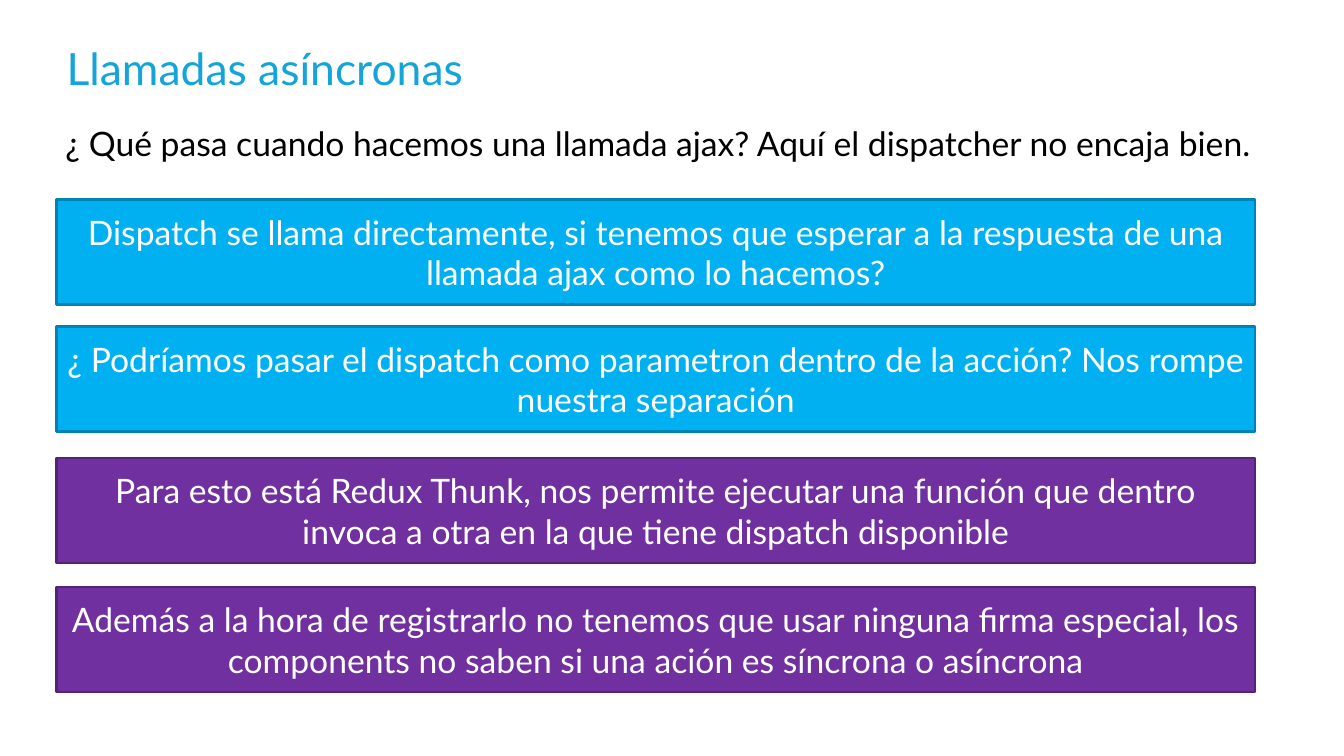
from pptx import Presentation
from pptx.dml.color import RGBColor
from pptx.enum import shapes, text
from pptx.util import Cm, Pt

FONT = "Lato"
TITLE_BLUE = RGBColor(0x13, 0xA4, 0xD9)
BLACK = RGBColor(0x00, 0x00, 0x00)
WHITE = RGBColor(0xFF, 0xFF, 0xFF)
CYAN = RGBColor(0x00, 0xB0, 0xF0)
CYAN_EDGE = RGBColor(0x00, 0x82, 0xB2)
PURPLE = RGBColor(0x70, 0x30, 0xA0)
PURPLE_EDGE = RGBColor(0x53, 0x24, 0x76)

LEFT = 1.57
BAND_WIDTH, BAND_HEIGHT = 33.3, 2.92

# Top edge in cm, fill, edge and wording of each band
BANDS = [
    (5.54, CYAN, CYAN_EDGE,
     "Dispatch se llama directamente, si tenemos que esperar a la respuesta "
     "de una llamada ajax como lo hacemos?"),
    (9.07, CYAN, CYAN_EDGE,
     "¿ Podríamos pasar el dispatch como parametron dentro de la acción? "
     "Nos rompe nuestra separación"),
    (12.73, PURPLE, PURPLE_EDGE,
     "Para esto está Redux Thunk, nos permite ejecutar una función que dentro "
     "invoca a otra en la que tiene dispatch disponible"),
    (16.31, PURPLE, PURPLE_EDGE,
     "Además a la hora de registrarlo no tenemos que usar ninguna firma "
     "especial, los components no saben si una ación es síncrona o asíncrona"),
]


def write(frame, wording, size=26.5, color=BLACK, align=text.PP_ALIGN.LEFT,
          anchor=text.MSO_ANCHOR.TOP, side_inset=0.25):
    frame.word_wrap = True
    frame.vertical_anchor = anchor
    frame.margin_left = frame.margin_right = Cm(side_inset)
    paragraph = frame.paragraphs[0]
    paragraph.alignment = align
    run = paragraph.add_run()
    run.text = wording
    run.font.name = FONT
    run.font.size = Pt(size)
    run.font.color.rgb = color


def add_line_of_text(slide, box, wording, **text_format):
    holder = slide.shapes.add_textbox(*map(Cm, box))
    write(holder.text_frame, wording, **text_format)


def add_band(slide, box, fill, edge, wording):
    band = slide.shapes.add_shape(shapes.MSO_SHAPE.RECTANGLE, *map(Cm, box))
    band.shadow.inherit = False
    band.fill.solid()
    band.fill.fore_color.rgb = fill
    band.line.color.rgb = edge
    band.line.width = Pt(2)
    write(band.text_frame, wording, color=WHITE,
          align=text.PP_ALIGN.CENTER, anchor=text.MSO_ANCHOR.MIDDLE)


def main():
    deck = Presentation()
    deck.slide_width, deck.slide_height = Cm(37.34), Cm(21.01)
    slide = deck.slides.add_slide(deck.slide_layouts[6])

    # Title and opening question
    add_line_of_text(slide, (LEFT, 0.84, 33.93, 2.06), "Llamadas asíncronas",
                     size=35, color=TITLE_BLUE, side_inset=0.28,
                     anchor=text.MSO_ANCHOR.MIDDLE)
    add_line_of_text(slide, (LEFT, 3.3, 33.73, 1.4),
                     "¿ Qué pasa cuando hacemos una llamada ajax? "
                     "Aquí el dispatcher no encaja bien.")

    # Problems in cyan, solution in purple
    for top, fill, edge, wording in BANDS:
        add_band(slide, (LEFT, top, BAND_WIDTH, BAND_HEIGHT),
                 fill, edge, wording)

    deck.save("out.pptx")


if __name__ == "__main__":
    main()
